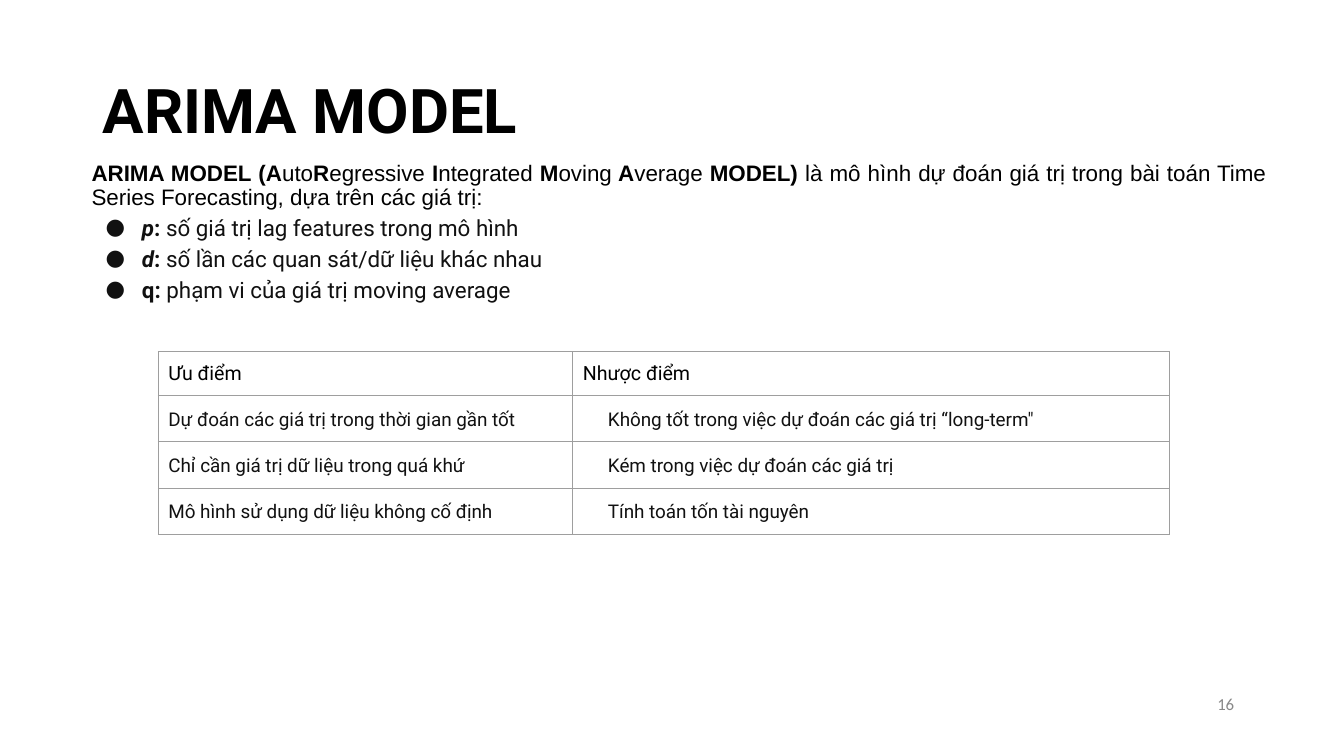
import pptx
import pptx.dml.color
import pptx.enum.text
import pptx.oxml
import pptx.oxml.ns
import pptx.util
from pptx.util import Inches

BLACK = pptx.dml.color.RGBColor(0x00, 0x00, 0x00)
INK = pptx.dml.color.RGBColor(0x11, 0x11, 0x11)
PAGE_GRAY = pptx.dml.color.RGBColor(0x88, 0x88, 0x88)
BORDER_GRAY = pptx.dml.color.RGBColor(0x9E, 0x9E, 0x9E)
WHITE = pptx.dml.color.RGBColor(0xFF, 0xFF, 0xFF)
ALIGN = pptx.enum.text.PP_ALIGN
ANCHOR = pptx.enum.text.MSO_ANCHOR
DRAWING_NS = pptx.oxml.ns.nsdecls("a")


def write(paragraph, runs, size, font="Roboto", color=INK, align=ALIGN.LEFT,
          spacing=1.0, margin=0, indent=0, bullet=None):
    """Fill a paragraph from (text, style) runs; style holds b for bold, i for italic."""
    properties = paragraph._p.get_or_add_pPr()
    properties.set("marL", str(Inches(margin)))
    properties.set("indent", str(Inches(indent)))
    if bullet:
        for xml in (f'<a:buClr {DRAWING_NS}><a:srgbClr val="{color}"/></a:buClr>',
                    f'<a:buFont {DRAWING_NS} typeface="{font}"/>',
                    f'<a:buChar {DRAWING_NS} char="{bullet}"/>'):
            properties.append(pptx.oxml.parse_xml(xml))
    paragraph.alignment = align
    paragraph.line_spacing = spacing
    paragraph.space_before = pptx.util.Pt(0)
    for text, style in runs:
        run = paragraph.add_run()
        run.text = text
        run.font.name = font
        run.font.size = pptx.util.Pt(size)
        run.font.color.rgb = color
        run.font.bold = "b" in style
        run.font.italic = "i" in style


def add_frame(left, top, width, height, anchor=ANCHOR.TOP):
    box = slide.shapes.add_textbox(Inches(left), Inches(top), Inches(width), Inches(height))
    box.text_frame.word_wrap = True
    box.text_frame.vertical_anchor = anchor
    return box.text_frame


presentation = pptx.Presentation()
presentation.slide_width = Inches(13.33)
presentation.slide_height = Inches(7.5)
slide = presentation.slides.add_slide(presentation.slide_layouts[6])
slide.background.fill.solid()
slide.background.fill.fore_color.rgb = WHITE

title = add_frame(0.92, 0.4, 11.5, 1.45, ANCHOR.MIDDLE)
write(title.paragraphs[0], [("ARIMA MODEL", "b")], 44, color=BLACK, spacing=0.9)

page_number = add_frame(9.56, 6.83, 2.78, 0.5)
write(page_number.paragraphs[0], [("16", "")], 12, font="Calibri", color=PAGE_GRAY,
      align=ALIGN.RIGHT)

# Definition and parameters
definition = [
    ("ARIMA MODEL (A", "b"), ("uto", ""), ("R", "b"), ("egressive", ""),
    (" I", "b"), ("ntegrated ", ""), ("M", "b"), ("oving", ""),
    (" A", "b"), ("verage", ""), (" MODEL) ", "b"),
    ("là mô hình dự đoán giá trị trong bài toán Time Series Forecasting, "
     "dựa trên các giá trị:", ""),
]
parameters = [
    [("p", "bi"), (": ", "b"), ("số giá trị lag features trong mô hình", "")],
    [("d", "bi"), (":", "b"), (" số lần các quan sát/dữ liệu khác nhau", "")],
    [("q:", "b"), (" phạm vi của giá trị moving average", "")],
]
body = add_frame(0.81, 1.56, 11.85, 5.42)
write(body.paragraphs[0], definition, 16, font="Arial", color=BLACK,
      align=ALIGN.JUSTIFY, spacing=0.89)
for parameter in parameters:
    write(body.add_paragraph(), parameter, 16, spacing=1.15,
          margin=0.5, indent=-0.36, bullet="●")

# Pros and cons
pros_and_cons = [
    ("Ưu điểm", "Nhược điểm"),
    ("Dự đoán các giá trị trong thời gian gần tốt",
     "Không tốt trong việc dự đoán các giá trị “long-term\""),
    ("Chỉ cần giá trị dữ liệu trong quá khứ", "Kém trong việc dự đoán các giá trị"),
    ("Mô hình sử dụng dữ liệu không cố định", "Tính toán tốn tài nguyên"),
]
column_widths = (4.11, 5.92)
row_height = 0.42
comparison = slide.shapes.add_table(
    len(pros_and_cons), len(column_widths), Inches(1.57), Inches(3.49),
    Inches(sum(column_widths)), Inches(row_height * len(pros_and_cons))).table
comparison.first_row = False
comparison.horz_banding = False
for column, width in zip(comparison.columns, column_widths):
    column.width = Inches(width)

for row_index, row_texts in enumerate(pros_and_cons):
    comparison.rows[row_index].height = Inches(row_height)
    for column_index, text in enumerate(row_texts):
        cell = comparison.cell(row_index, column_index)
        cell.margin_left = cell.margin_right = Inches(0.1)
        cell.margin_top = cell.margin_bottom = Inches(0.1)
        cell.fill.background()
        for position, edge in enumerate(("lnL", "lnR", "lnT", "lnB")):
            cell._tc.tcPr.insert(position, pptx.oxml.parse_xml(
                f'<a:{edge} {DRAWING_NS} w="{pptx.util.Pt(0.75)}"><a:solidFill>'
                f'<a:srgbClr val="{BORDER_GRAY}"/></a:solidFill></a:{edge}>'))
        if row_index == 0:
            look = dict(size=14, color=BLACK)
        elif column_index == 0:
            look = dict(size=13.5, spacing=1.15)
        else:
            look = dict(size=13.5, spacing=1.15, margin=0.5, indent=-0.25)
        write(cell.text_frame.paragraphs[0], [(text, "")], **look)

presentation.save("out.pptx")
